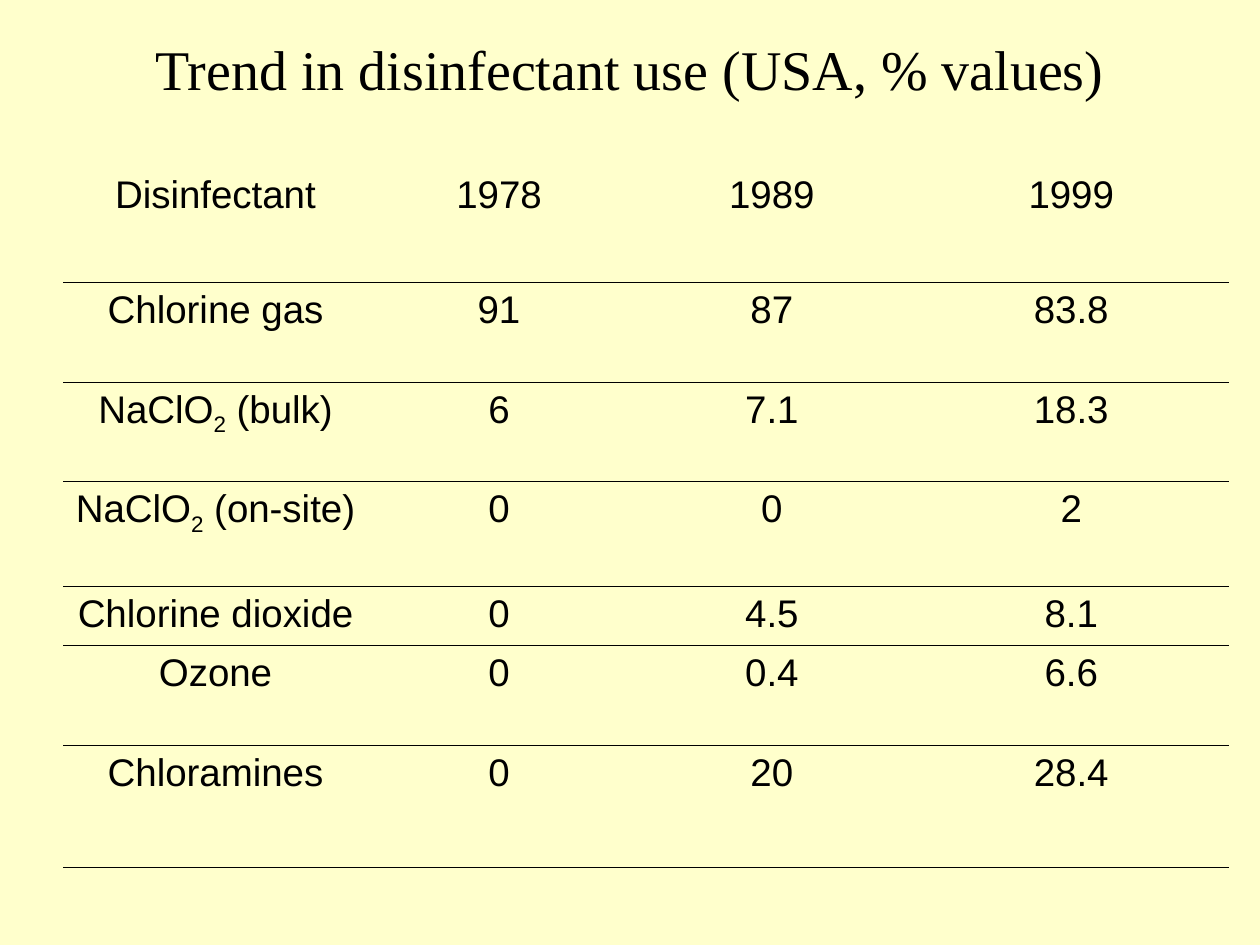
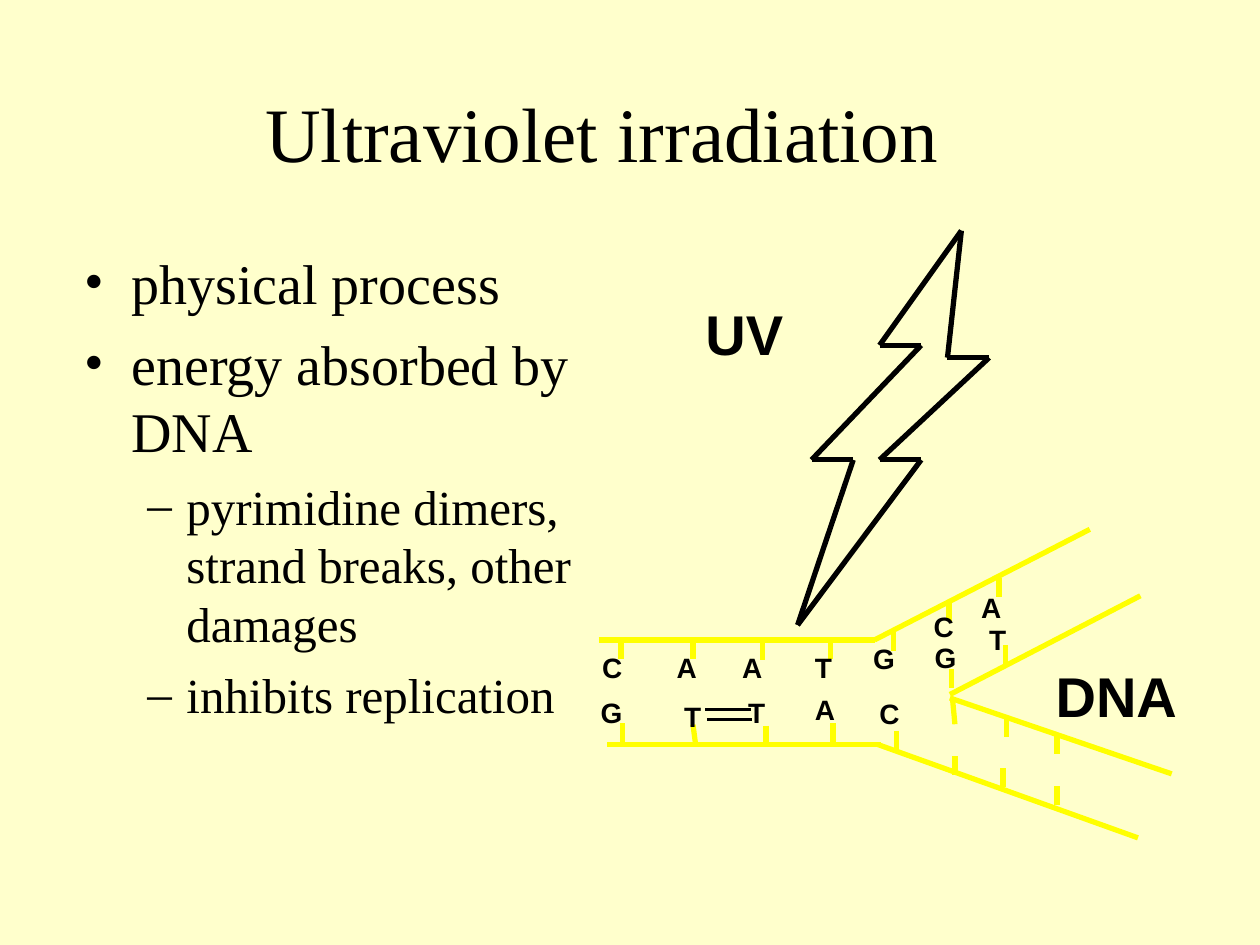
import itertools
from dataclasses import dataclass

import lxml.etree
import pptx
import pptx.dml.color
import pptx.enum.shapes
import pptx.enum.text
import pptx.oxml.ns
import pptx.presentation
import pptx.shapes.autoshape
import pptx.slide
import pptx.table
import pptx.text.text
import pptx.util

Cm = pptx.util.Cm
Pt = pptx.util.Pt
qn = pptx.oxml.ns.qn

COLORS = {"background": "FFFFCC", "ink": "000000", "strand": "FFFF00"}
SERIF, SANS = "Times New Roman", "Arial"
NO_GRID_STYLE = "{2D5ABB26-0587-4C30-8999-92F81FD0307C}"
SUBSCRIPT_MARK = "_"


# All positions and lengths below are in centimetres
@dataclass(frozen=True)
class Box:
    left: float
    top: float
    width: float
    height: float

    def lengths(self) -> tuple[pptx.util.Length, ...]:
        return tuple(Cm(value) for value in (self.left, self.top, self.width, self.height))


@dataclass(frozen=True)
class Segment:
    x1: float
    y1: float
    x2: float
    y2: float


@dataclass(frozen=True)
class Rung:
    x: float
    top: float
    lean: float = 0
    length: float = 0.38

    def segment(self) -> Segment:
        return Segment(self.x, self.top, self.x + self.lean, self.top + self.length)


@dataclass(frozen=True)
class Base:
    letter: str
    left: float
    top: float


@dataclass(frozen=True)
class BulletStyle:
    symbol: str
    size: float
    space_before: float
    margin: float
    hanging: float


@dataclass(frozen=True)
class Bullet:
    text: str
    level: int = 0


# Disinfectant table
COLUMN_WIDTHS = (6.15, 5.28, 5.72, 6.35)
ROW_HEIGHTS = (2.31, 2.01, 2.01, 2.11, 1.19, 2.01, 2.46)
TABLE_ROWS = (
    ("Disinfectant", "1978", "1989", "1999"),
    ("Chlorine gas", "91", "87", "83.8"),
    ("NaClO_2_ (bulk)", "6", "7.1", "18.3"),
    ("NaClO_2_ (on-site)", "0", "0", "2"),
    ("Chlorine dioxide", "0", "4.5", "8.1"),
    ("Ozone", "0", "0.4", "6.6"),
    ("Chloramines", "0", "20", "28.4"),
)

# Bulleted text
BULLET_STYLES = (
    BulletStyle("•", 32, 8, 0.95, 0.95),
    BulletStyle("–", 28, 7, 2.06, 0.79),
)
BULLETS = (
    Bullet("physical process"),
    Bullet("energy absorbed by DNA"),
    Bullet("pyrimidine dimers, strand breaks, other damages", 1),
    Bullet("inhibits replication", 1),
)

# DNA drawing
STRANDS = (
    Segment(12.07, 12.9, 17.63, 12.9),
    Segment(12.24, 15.01, 17.75, 15.01),
    Segment(17.63, 12.9, 21.97, 10.67),
    Segment(17.7, 15.01, 22.94, 16.89),
    Segment(19.15, 14, 22.99, 12.01),
    Segment(19.15, 14.07, 23.62, 15.6),
)
RUNGS = (
    Rung(12.52, 12.9), Rung(13.97, 12.9), Rung(15.37, 12.93), Rung(16.74, 12.9),
    Rung(12.55, 14.58), Rung(13.97, 14.61, 0.05), Rung(15.44, 14.63), Rung(16.79, 14.58),
    Rung(18.01, 12.75), Rung(18.08, 14.73), Rung(19.25, 15.24), Rung(20.22, 15.49),
    Rung(21.31, 15.85), Rung(19.2, 14.07, 0.05, 0.53), Rung(20.29, 14.48),
    Rung(19.18, 13.49), Rung(19.13, 12.14), Rung(20.14, 11.66), Rung(20.27, 13),
    Rung(21.31, 14.81),
)
LETTER_WIDTHS = {"A": 0.91, "C": 0.91, "G": 0.94, "T": 0.86}
LETTER_HEIGHT = 0.94
BASES = (
    Base("A", 19.53, 11.79), Base("C", 18.57, 12.17), Base("G", 17.35, 12.8),
    Base("T", 16.18, 12.98), Base("A", 14.71, 12.98), Base("A", 13.39, 12.98),
    Base("C", 11.89, 12.98), Base("T", 14.83, 13.89), Base("T", 13.54, 13.97),
    Base("A", 16.18, 13.84), Base("G", 18.59, 12.78), Base("G", 11.86, 13.89),
    Base("C", 17.48, 13.92), Base("T", 19.69, 12.42),
)
DIMER_BONDS = (Segment(14.22, 14.3, 15.14, 14.3), Segment(14.25, 14.5, 15.16, 14.5))
BOLT_CORNERS = (
    (18.57, 9.27), (16.08, 12.6), (17.2, 9.27), (16.36, 9.27), (18.57, 6.96),
    (17.73, 6.96), (19.38, 4.65), (19.1, 7.21), (19.94, 7.21), (17.73, 9.27),
)


# Shared helpers
def color(name: str) -> pptx.dml.color.RGBColor:
    return pptx.dml.color.RGBColor.from_string(COLORS[name])


def style_paragraph(paragraph: pptx.text.text._Paragraph, size: float,
                    name: str, bold: bool = False) -> None:
    font = paragraph.font
    font.size, font.name, font.bold = Pt(size), name, bold
    font.color.rgb = color("ink")


def add_blank_slide(presentation: pptx.presentation.Presentation) -> pptx.slide.Slide:
    slide = presentation.slides.add_slide(presentation.slide_layouts[6])
    slide.background.fill.solid()
    slide.background.fill.fore_color.rgb = color("background")
    return slide


def add_title(slide: pptx.slide.Slide, text: str, box: Box, size: float) -> None:
    frame = slide.shapes.add_textbox(*box.lengths()).text_frame
    frame.word_wrap = True
    frame.vertical_anchor = pptx.enum.text.MSO_ANCHOR.MIDDLE
    paragraph = frame.paragraphs[0]
    paragraph.text = text
    paragraph.alignment = pptx.enum.text.PP_ALIGN.CENTER
    style_paragraph(paragraph, size, SERIF)


def add_label(slide: pptx.slide.Slide, text: str, box: Box, size: float) -> None:
    frame = slide.shapes.add_textbox(*box.lengths()).text_frame
    frame.word_wrap = False
    frame.auto_size = pptx.enum.text.MSO_AUTO_SIZE.SHAPE_TO_FIT_TEXT
    frame.paragraphs[0].text = text
    style_paragraph(frame.paragraphs[0], size, SANS, bold=True)


def add_line(slide: pptx.slide.Slide, segment: Segment, color_name: str,
             width: float = 3) -> None:
    ends = (Cm(value) for value in (segment.x1, segment.y1, segment.x2, segment.y2))
    connector = slide.shapes.add_connector(pptx.enum.shapes.MSO_CONNECTOR.STRAIGHT, *ends)
    connector.line.color.rgb = color(color_name)
    connector.line.width = Pt(width)
    lxml.etree.SubElement(connector._element.spPr, qn("a:effectLst"))


# Table slide
def fill_cell(cell: pptx.table._Cell, text: str) -> None:
    cell.fill.background()
    paragraph = cell.text_frame.paragraphs[0]
    paragraph.alignment = pptx.enum.text.PP_ALIGN.CENTER
    for index, part in enumerate(text.split(SUBSCRIPT_MARK)):
        run = paragraph.add_run()
        run.text = part
        if index % 2:
            run._r.get_or_add_rPr().set("baseline", "-25000")
    style_paragraph(paragraph, 22, SANS)
    # Rule under the cell
    border = lxml.etree.Element(qn("a:lnB"), w=str(Pt(0.45)))
    fill = lxml.etree.SubElement(border, qn("a:solidFill"))
    lxml.etree.SubElement(fill, qn("a:srgbClr"), val=COLORS["ink"])
    cell._tc.get_or_add_tcPr().insert(0, border)


def build_trend_slide(presentation: pptx.presentation.Presentation) -> None:
    slide = add_blank_slide(presentation)
    add_title(slide, "Trend in disinfectant use (USA, % values)",
              Box(1.91, 0.64, 21.59, 1.47), 32)
    box = Box(1.27, 3.38, sum(COLUMN_WIDTHS), sum(ROW_HEIGHTS))
    table = slide.shapes.add_table(len(ROW_HEIGHTS), len(COLUMN_WIDTHS), *box.lengths()).table
    table.first_row = table.horz_banding = False
    table._tbl.tblPr.find(qn("a:tableStyleId")).text = NO_GRID_STYLE
    for column, width in zip(table.columns, COLUMN_WIDTHS):
        column.width = Cm(width)
    for row, height, texts in zip(table.rows, ROW_HEIGHTS, TABLE_ROWS):
        row.height = Cm(height)
        for cell, text in zip(row.cells, texts):
            fill_cell(cell, text)


# Ultraviolet slide
def add_bullets(slide: pptx.slide.Slide, box: Box) -> None:
    frame = slide.shapes.add_textbox(*box.lengths()).text_frame
    frame.word_wrap = True
    for index, bullet in enumerate(BULLETS):
        style = BULLET_STYLES[bullet.level]
        paragraph = frame.add_paragraph() if index else frame.paragraphs[0]
        paragraph.text = bullet.text
        paragraph.level = bullet.level
        properties = paragraph._p.get_or_add_pPr()
        properties.set("marL", str(Cm(style.margin)))
        properties.set("indent", str(-Cm(style.hanging)))
        bullet_color = lxml.etree.SubElement(properties, qn("a:buClr"))
        lxml.etree.SubElement(bullet_color, qn("a:srgbClr"), val=COLORS["ink"])
        lxml.etree.SubElement(properties, qn("a:buFont"), typeface=SERIF)
        lxml.etree.SubElement(properties, qn("a:buChar"), char=style.symbol)
        if index:
            paragraph.space_before = Pt(style.space_before)
        style_paragraph(paragraph, style.size, SERIF)


def add_dna(slide: pptx.slide.Slide) -> None:
    for segment in (*STRANDS, *(rung.segment() for rung in RUNGS)):
        add_line(slide, segment, "strand")
    for base in BASES:
        box = Box(base.left, base.top, LETTER_WIDTHS[base.letter], LETTER_HEIGHT)
        add_label(slide, base.letter, box, 16)
    add_label(slide, "DNA", Box(21.03, 13.21, 2.97, 1.6), 32)
    for bond in DIMER_BONDS:
        add_line(slide, bond, "ink", 2)


def add_bolt(slide: pptx.slide.Slide) -> None:
    for start, end in itertools.pairwise((*BOLT_CORNERS, BOLT_CORNERS[0])):
        add_line(slide, Segment(*start, *end), "ink")


def build_ultraviolet_slide(presentation: pptx.presentation.Presentation) -> None:
    slide = add_blank_slide(presentation)
    add_title(slide, "Ultraviolet irradiation", Box(0, 1.07, 24.28, 3.18), 44)
    add_bullets(slide, Box(1.45, 4.88, 11, 10.59))
    add_label(slide, "UV", Box(13.97, 5.92, 2.08, 1.6), 32)
    add_dna(slide)
    add_bolt(slide)


def main() -> None:
    presentation = pptx.Presentation()
    presentation.slide_width = Cm(25.4)
    presentation.slide_height = Cm(19.05)
    build_trend_slide(presentation)
    build_ultraviolet_slide(presentation)
    presentation.save("out.pptx")


if __name__ == "__main__":
    main()
